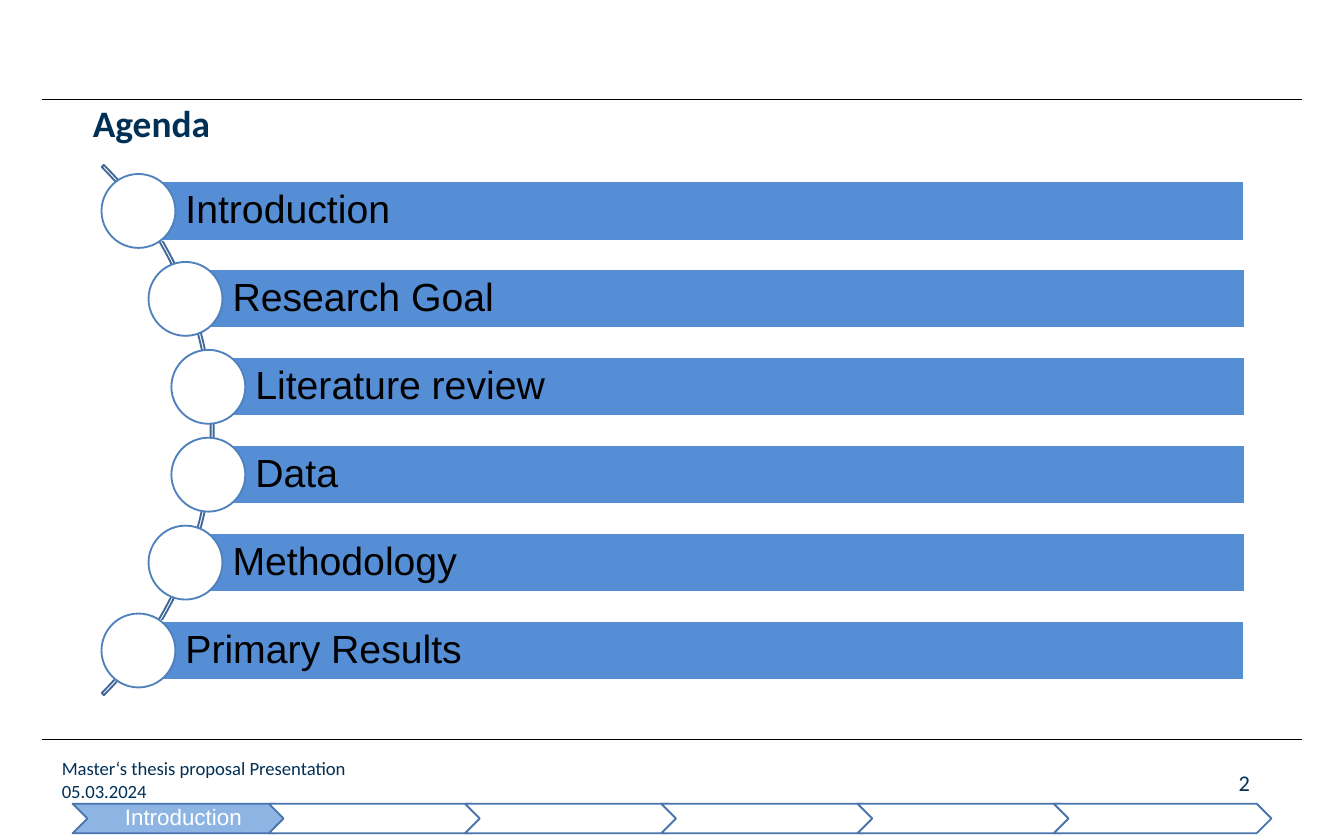
from lxml.etree import SubElement
from pptx import Presentation
from pptx.dml.color import RGBColor
from pptx.enum.shapes import MSO_CONNECTOR, MSO_SHAPE
from pptx.enum.text import MSO_ANCHOR, PP_ALIGN
from pptx.oxml.ns import qn
from pptx.util import Inches, Pt

BLACK = RGBColor(0x00, 0x00, 0x00)
WHITE = RGBColor(0xFF, 0xFF, 0xFF)
NAVY = RGBColor(0x00, 0x30, 0x56)
BAR = RGBColor(0x55, 0x8E, 0xD5)
RING = RGBColor(0x4F, 0x81, 0xBD)
ARC = RGBColor(0x3F, 0x67, 0x97)
ACTIVE = RGBColor(0x8E, 0xB4, 0xE3)
STEP = RGBColor(0x48, 0x75, 0xAC)

BAR_TOP, BAR_BOTTOM_TOP, BAR_HEIGHT, BAR_RIGHT = 1.35, 4.62, 0.44, 9.26
CIRCLE = 0.55
AGENDA = [
    ("Introduction", 1.03),
    ("Research Goal", 1.38),
    ("Literature review", 1.55),
    ("Data", 1.55),
    ("Methodology", 1.38),
    ("Primary Results", 1.03),
]
BAR_PITCH = (BAR_BOTTOM_TOP - BAR_TOP) / (len(AGENDA) - 1)
STEPS = ["Introduction", "", "", "", "", ""]


class AgendaSlide:
    """Holds the text styles and the slide, and adds each kind of element to it."""

    STYLES = {
        "title": {"name": "Calibri", "size": Pt(20), "bold": True},
        "footer": {"name": "Calibri", "size": Pt(10)},
        "number": {"name": "Calibri", "size": Pt(12)},
        "bar": {"name": "Arial", "size": Pt(21)},
        "step": {"name": "Arial", "size": Pt(12)},
    }

    def __init__(self, prs):
        self.slide = prs.slides.add_slide(prs.slide_layouts[5])
        self.shapes = self.slide.shapes

    def set_text(self, sp, text, style, color, insets=(0, 0, 0, 0), align=PP_ALIGN.LEFT,
                 anchor=MSO_ANCHOR.MIDDLE, spacing=0.9):
        tf = sp.text_frame
        sides = ("margin_left", "margin_top", "margin_right", "margin_bottom")
        frame = dict(zip(sides, map(Inches, insets)), word_wrap=True, vertical_anchor=anchor)
        for key, value in frame.items():
            setattr(tf, key, value)
        p = tf.paragraphs[0]
        p.alignment, p.line_spacing = align, spacing
        r = p.add_run()
        r.text = text
        for key, value in self.STYLES[style].items():
            setattr(r.font, key, value)
        r.font.color.rgb = color

    def title(self, text, *box):
        sp = self.shapes.title
        for key, value in zip(("left", "top", "width", "height"), box):
            setattr(sp, key, Inches(value))
        self.set_text(sp, text, "title", NAVY)

    def label(self, text, style, *box, align=PP_ALIGN.LEFT):
        sp = self.shapes.add_textbox(*map(Inches, box))
        self.set_text(sp, text, style, NAVY, align=align, anchor=MSO_ANCHOR.TOP, spacing=1.0)

    def rule(self, y):
        ends = map(Inches, (0.31, y, 9.69, y))
        line = self.shapes.add_connector(MSO_CONNECTOR.STRAIGHT, *ends)
        line.line.color.rgb = BLACK
        line.line.width = Pt(0.5)
        SubElement(line._element.spPr, qn("a:effectLst"))

    def shape(self, kind, box, fill, line):
        sp = self.shapes.add_shape(kind, *map(Inches, box))
        sp.shadow.inherit = False
        if fill is None:
            sp.fill.background()
        else:
            sp.fill.solid()
            sp.fill.fore_color.rgb = fill
        sp.line.color.rgb = line
        sp.line.width = Pt(1)
        return sp

    def arc(self, *box):
        sp = self.shape(MSO_SHAPE.BLOCK_ARC, box, None, ARC)
        for i, value in enumerate((189, 27, 0.004)):
            sp.adjustments[i] = value

    def item(self, text, left, top):
        box = (left, top, BAR_RIGHT - left, BAR_HEIGHT)
        sp = self.shape(MSO_SHAPE.RECTANGLE, box, BAR, WHITE)
        self.set_text(sp, text, "bar", BLACK, (0.35, 0.06, 0.06, 0.06))
        circle = (left - CIRCLE / 2, top + (BAR_HEIGHT - CIRCLE) / 2, CIRCLE, CIRCLE)
        self.shape(MSO_SHAPE.OVAL, circle, WHITE, RING)

    def step(self, text, left):
        fill = ACTIVE if text else WHITE
        sp = self.shape(MSO_SHAPE.CHEVRON, (left, 5.98, 1.62, 0.22), fill, STEP)
        if text:
            self.set_text(sp, text, "step", WHITE, (0.05, 0.02, 0.02, 0.02), PP_ALIGN.CENTER)


def main():
    prs = Presentation()
    prs.slide_width, prs.slide_height = Inches(10), Inches(6.25)
    s = AgendaSlide(prs)
    for y in (0.74, 5.5):
        s.rule(y)
    s.label("2", "number", 7.76, 5.72, 1.54, 0.2, align=PP_ALIGN.RIGHT)
    s.label("05.03.2024", "footer", 0.46, 5.8, 3.11, 0.2)
    s.label("Master‘s thesis proposal Presentation", "footer", 0.46, 5.63, 4.22, 0.2)
    s.title("Agenda", 0.69, 0.33, 8.62, 1.21)
    s.arc(-3.99, 0.41, 5.58, 5.58)
    for i, (text, left) in enumerate(AGENDA):
        s.item(text, left, BAR_TOP + i * BAR_PITCH)
    for i, text in enumerate(STEPS):
        s.step(text, 0.54 + i * 1.46)
    prs.save("out.pptx")


if __name__ == "__main__":
    main()
